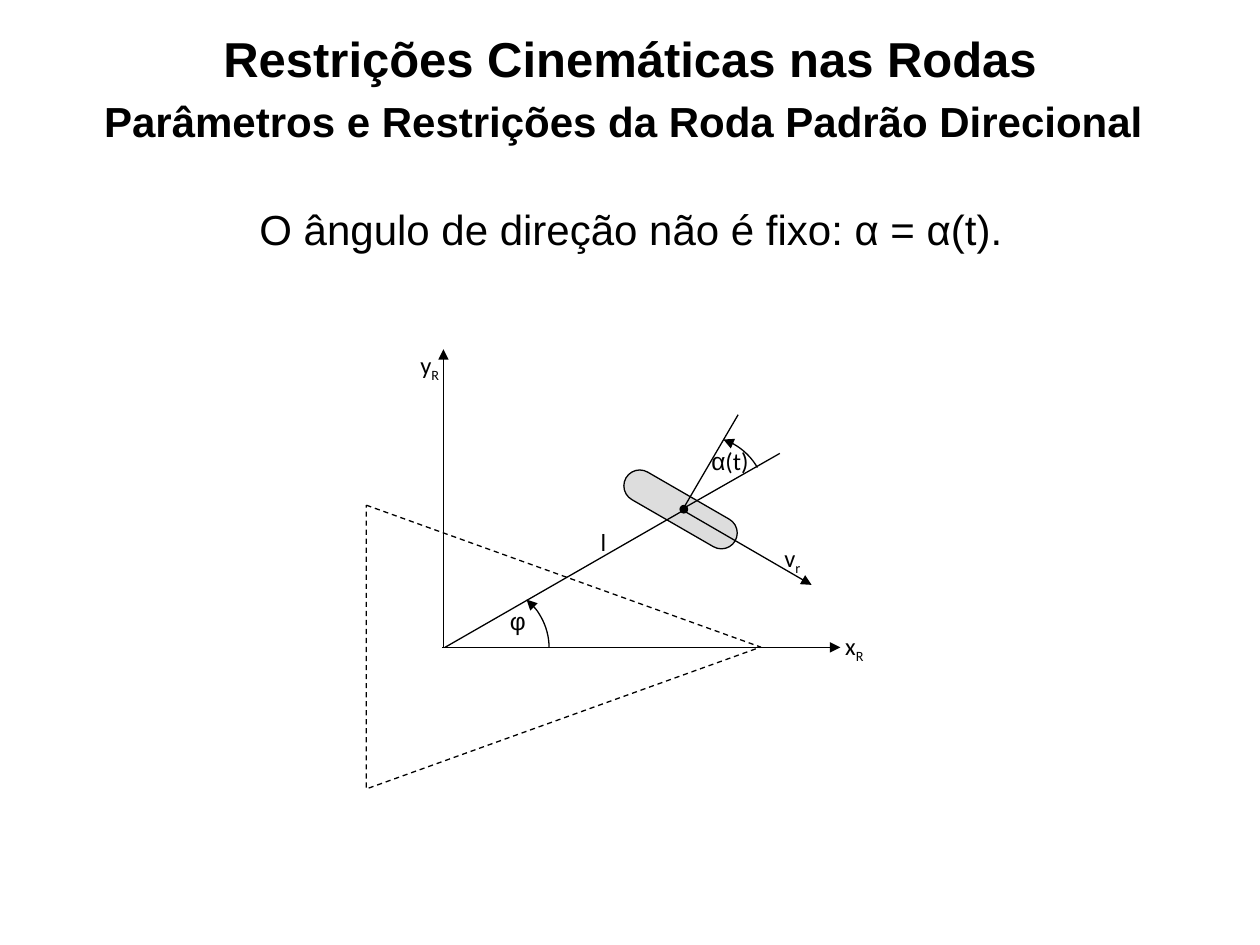
from lxml.etree import SubElement
from pptx import Presentation
from pptx.dml.color import RGBColor
from pptx.enum.dml import MSO_LINE
from pptx.enum.shapes import MSO_CONNECTOR, MSO_SHAPE
from pptx.enum.text import MSO_ANCHOR, PP_ALIGN
from pptx.oxml.ns import qn
from pptx.util import Cm, Pt
from math import cos, radians, sin

COLORS = {"ink": "000000", "wheel": "DDDDDD", "robot": "FFFFFF"}
LABEL_SIZE = 14
ARC_RADIUS = 1.27

# Text pieces are (text, font, subscript)
LABELS = [
    ((15.34, 10.82, 1.27, 1.27), [("v", "Calibri", False), ("r", "Calibri", True)]),
    ((13.61, 8.86, 2.21, 1.27), [("α", "Arial", False), ("(t)", "Calibri", False)]),
    ((9.68, 12.09, 1.52, 1.27), [("φ", "Arial", False)]),
    ((16.59, 12.6, 1.27, 1.02), [("x", "Calibri", False), ("R", "Calibri", True)]),
    ((8.03, 6.93, 1.27, 1.02), [("y", "Calibri", False), ("R", "Calibri", True)]),
    ((11.53, 10.49, 1.27, 1.02), [("l", "Calibri", False)]),
]

# Start x, start y, end x, end y, arrow at the end
LINES = [
    (8.94, 13.04, 8.94, 7.04, True),  # y axis
    (8.92, 13.05, 16.94, 13.05, True),  # x axis
    (13.74, 10.31, 8.97, 13.05, False),  # distance to the wheel
    (13.72, 10.26, 16.36, 11.79, True),  # wheel velocity
    (15.72, 9.14, 13.79, 10.24, False),  # extension of the distance
    (14.88, 8.36, 13.77, 10.26, False),  # wheel normal
]

# Centre x, centre y, start and end angle in degrees, clockwise from the right
ARCS = [
    (9.8, 13.06, -50, 0),  # phi
    (14.17, 10.06, -71, -30),  # alpha
]


def color(name):
    return RGBColor.from_string(COLORS[name])


def set_values(target, values):
    for name, value in values.items():
        setattr(target, name, value)


def style_line(line):
    line.color.rgb = color("ink")
    line.width = Pt(0.75)


def add_arrowhead(shape, end):
    """Put a triangle at the "headEnd" (start) or "tailEnd" (end) of a line."""
    outline = shape.line._get_or_add_ln()
    SubElement(outline, qn(f"a:{end}"), type="triangle")


def add_run(paragraph, text, font, size, bold=False):
    run = paragraph.add_run()
    run.text = text
    set_values(run.font, {"name": font, "size": Pt(size), "bold": bold})
    run.font.color.rgb = color("ink")
    return run


def add_text_box(shapes, box, **frame_values):
    frame = shapes.add_textbox(*map(Cm, box)).text_frame
    set_values(frame, {"word_wrap": True, "vertical_anchor": MSO_ANCHOR.TOP,
                       **frame_values})
    return frame


def add_title(slide):
    frame = add_text_box(slide.shapes, (1.27, 0.57, 22.86, 3.18),
                         margin_top=0, margin_bottom=0)
    heading, subheading = frame.paragraphs[0], frame.add_paragraph()
    for paragraph in (heading, subheading):
        paragraph.alignment = PP_ALIGN.CENTER
    subheading.space_before = Pt(5)
    subheading._p.get_or_add_pPr().set("marR", str(Cm(0.26)))
    add_run(heading, "Restrições Cinemáticas nas Rodas", "Arial", 28, True)
    add_run(subheading, "Parâmetros e Restrições da Roda Padrão Direcional",
            "Arial", 24, True)


def add_statement(slide):
    frame = add_text_box(slide.shapes, (4.98, 3.98, 15.57, 1.27), word_wrap=False)
    add_run(frame.paragraphs[0], "O ângulo de direção não é fixo: α = α(t).",
            "Arial", 24)


def add_label(shapes, box, pieces):
    paragraph = add_text_box(shapes, box).paragraphs[0]
    paragraph.alignment = PP_ALIGN.CENTER
    for text, font, subscript in pieces:
        run = add_run(paragraph, text, font, LABEL_SIZE)
        if subscript:
            run.font._element.set("baseline", "-25000")


def add_body(shapes, kind, box, rotation, fill):
    shape = shapes.add_shape(kind, *map(Cm, box))
    shape.shadow.inherit = False
    shape.rotation = rotation
    shape.fill.solid()
    shape.fill.fore_color.rgb = color(fill)
    style_line(shape.line)
    return shape


def add_line(shapes, start_x, start_y, end_x, end_y, arrow):
    ends = map(Cm, (start_x, start_y, end_x, end_y))
    line = shapes.add_connector(MSO_CONNECTOR.STRAIGHT, *ends)
    style_line(line.line)
    SubElement(line._element.spPr, qn("a:effectLst"))
    if arrow:
        add_arrowhead(line, "tailEnd")


def add_arc(shapes, center_x, center_y, start, end):
    """Outline the sector to size the shape, then keep only its curved edge."""
    first, last = [(Cm(center_x + ARC_RADIUS * cos(radians(angle))),
                    Cm(center_y + ARC_RADIUS * sin(radians(angle))))
                   for angle in (start, end)]
    builder = shapes.build_freeform(*first)
    builder.add_line_segments([last, (Cm(center_x), Cm(center_y))], close=False)
    arc = builder.convert_to_shape()
    outline = next(arc._element.iter(qn("a:path")))
    for segment in outline.findall(qn("a:lnTo")):
        outline.remove(segment)
    radius = str(Cm(ARC_RADIUS))
    SubElement(outline, qn("a:arcTo"), wR=radius, hR=radius,
               stAng=str(start % 360 * 60000), swAng=str((end - start) * 60000))
    arc.shadow.inherit = False
    arc.fill.background()
    style_line(arc.line)
    add_arrowhead(arc, "headEnd")


def add_diagram(slide):
    shapes = slide.shapes.add_group_shape().shapes
    wheel = add_body(shapes, MSO_SHAPE.ROUNDED_RECTANGLE,
                     (12.45, 9.95, 2.54, 0.64), 30, "wheel")
    wheel.adjustments[0] = 0.5
    robot = add_body(shapes, MSO_SHAPE.ISOSCELES_TRIANGLE,
                     (8.5, 9.07, 5.72, 7.95), 90, "robot")
    robot.line.dash_style = MSO_LINE.DASH
    add_body(shapes, MSO_SHAPE.OVAL, (13.71, 10.19, 0.15, 0.15), 30, "ink")
    for line in LINES:
        add_line(shapes, *line)
    for arc in ARCS:
        add_arc(shapes, *arc)
    for box, pieces in LABELS:
        add_label(shapes, box, pieces)


def main():
    presentation = Presentation()
    set_values(presentation, {"slide_width": Cm(25.4), "slide_height": Cm(19.05)})
    slide = presentation.slides.add_slide(presentation.slide_layouts[6])
    add_title(slide)
    add_diagram(slide)
    add_statement(slide)
    presentation.save("out.pptx")


if __name__ == "__main__":
    main()
